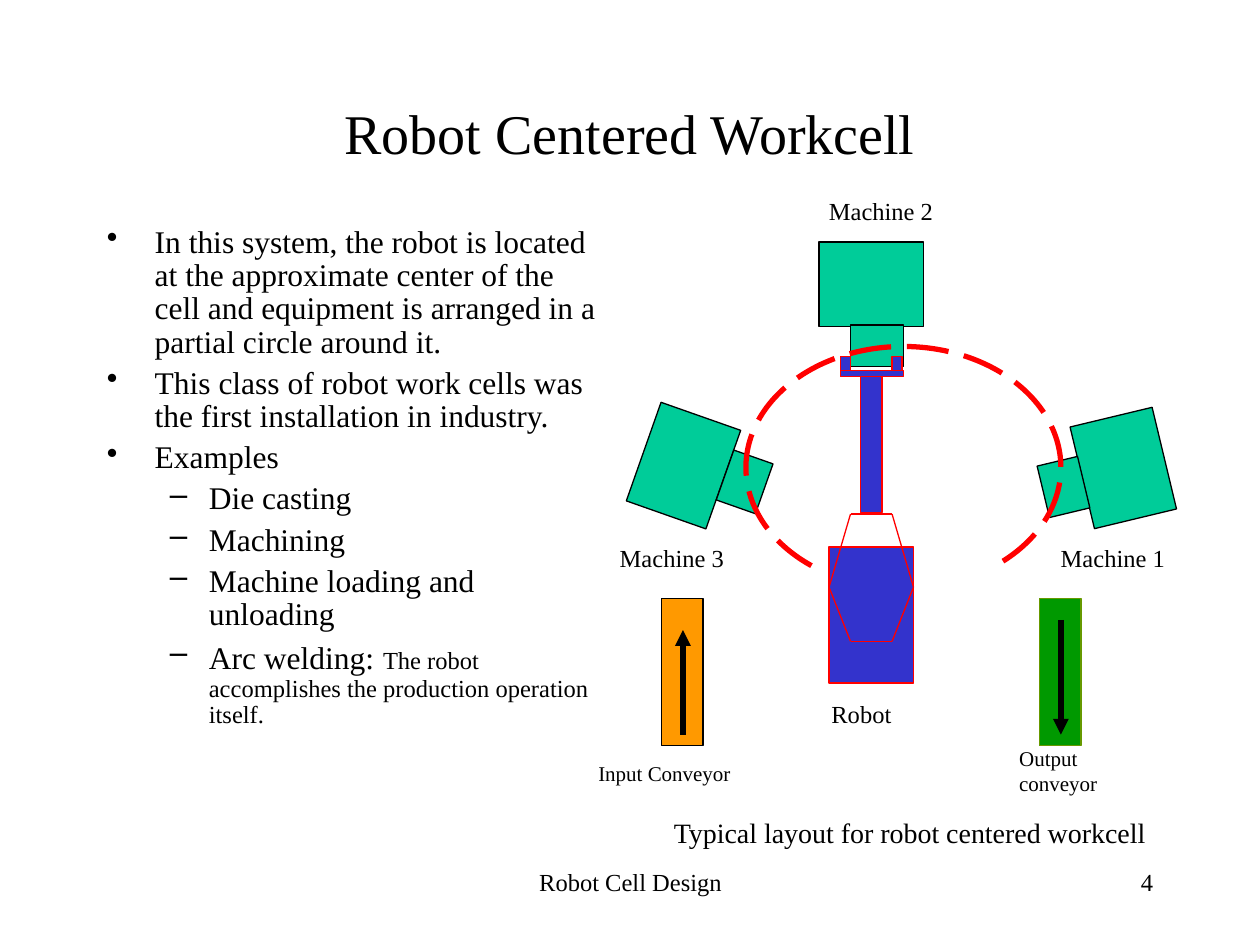
"""Build the robot centered workcell slide."""
from lxml import etree
from pptx import Presentation
from pptx.dml.color import RGBColor
from pptx.enum.dml import MSO_LINE
from pptx.enum.shapes import MSO_CONNECTOR, MSO_SHAPE
from pptx.enum.text import MSO_ANCHOR, PP_ALIGN
from pptx.oxml.ns import qn
from pptx.util import Inches, Pt

RECT, ARC = MSO_SHAPE.RECTANGLE, MSO_SHAPE.ARC
STRAIGHT, LONG_DASH = MSO_CONNECTOR.STRAIGHT, MSO_LINE.LONG_DASH
LEFT, CENTER, RIGHT = PP_ALIGN.LEFT, PP_ALIGN.CENTER, PP_ALIGN.RIGHT
TOP, MIDDLE = MSO_ANCHOR.TOP, MSO_ANCHOR.MIDDLE
FONT = "Times New Roman"
COLORS = {"black": "000000", "machine": "00CC99", "robot": "3333CC", "red": "FF0000",
          "input": "FF9900", "output": "009900", "olive": "669900"}

BULLETS = [
    (0, [("In this system, the robot is located at the approximate center of the cell "
          "and equipment is arranged in a partial circle around it.", 18)]),
    (0, [("This class of robot work cells was the first installation in industry.", 18)]),
    (0, [("Examples", 18)]),
    (1, [("Die casting", 18)]),
    (1, [("Machining", 18)]),
    (1, [("Machine loading and unloading", 18)]),
    (1, [("Arc welding:", 18), (" ", 20),
         ("The robot accomplishes the production operation itself.", 14)]),
]
LEVELS = [("•", 0.38, -0.38), ("–", 0.81, -0.31)]

TEXTS = [
    ("Robot Centered Workcell", (0.75, 0.67, 8.5, 0.75), 32, CENTER, MIDDLE, True),
    ("Robot Cell Design", (3.42, 6.83, 3.17, 0.5), 14, CENTER, TOP, True),
    ("4", (7.17, 6.83, 2.08, 0.5), 14, RIGHT, TOP, True),
    ("Machine 1", (8.32, 4.26, 1.03, 0.34), 14, LEFT, TOP, False),
    ("Machine 2", (6.48, 1.51, 1.03, 0.34), 14, LEFT, TOP, False),
    ("Machine 3", (4.82, 4.26, 1.03, 0.34), 14, LEFT, TOP, False),
    ("Robot", (6.5, 5.5, 0.75, 0.34), 14, LEFT, TOP, True),
    ("Typical layout for robot centered workcell", (5.25, 6.42, 4.08, 0.37), 16, LEFT, TOP, True),
    ("Input Conveyor", (4.65, 5.99, 1.35, 0.3), 12, LEFT, TOP, True),
    ("Output conveyor", (7.99, 5.87, 1.32, 0.3), 12, LEFT, TOP, False),
]

BODY_SIZE, FEEDER_SIZE = (0.83, 0.67), (0.42, 0.33)
MACHINES = [
    ((6.5, 1.92), (6.75, 2.58), 0),
    ((5.01, 3.36), (5.7, 3.66), 289.4),
    ((8.5, 3.38), (8.23, 3.7), 76.5),
]
REACH, REACH_ANGLES = (5.92, 2.75, 2.5, 1.92), (133.1, 46.9)
ROBOT_BASE = (6.58, 4.34, 0.67, 1.08)
SHOULDER = [(6.75, 4.08), (7.08, 4.08), (7.25, 4.66), (7.08, 5.09), (6.75, 5.09), (6.58, 4.66)]
ARM_AND_GRIPPER = [(6.83, 2.99, 0.17, 1.08), (6.67, 2.94, 0.5, 0.05),
                   (6.67, 2.83, 0.08, 0.11), (7.08, 2.83, 0.08, 0.11)]
CONVEYORS = [
    ((5.25, 4.75, 0.33, 1.17), "input", "black", (5.42, 5.83), (5.42, 5)),
    ((8.25, 4.75, 0.33, 1.17), "output", "olive", (8.42, 4.92), (8.42, 5.83)),
]


def rgb(name):
    return RGBColor.from_string(COLORS[name])


def inches(values):
    return [Inches(v) for v in values]


def add_run(p, text, size):
    r = p.add_run()
    r.text = text
    r.font.name, r.font.size = FONT, Pt(size)
    r.font.color.rgb = rgb("black")


def add_text(s, text, box, size, align, anchor, wrap):
    tf = s.shapes.add_textbox(*inches(box)).text_frame
    tf.word_wrap, tf.vertical_anchor = wrap, anchor
    tf.paragraphs[0].alignment = align
    add_run(tf.paragraphs[0], text, size)


def add_bullets(s):
    tf = s.shapes.add_textbox(*inches((0.75, 1.75, 4.17, 4.92))).text_frame
    tf.word_wrap = True
    for i, (level, runs) in enumerate(BULLETS):
        p = tf.add_paragraph() if i else tf.paragraphs[0]
        p.level, p.line_spacing = level, 0.88
        if i:
            p.space_before = Pt(4.5)
        char, margin, indent = LEVELS[level]
        pPr = p._p.get_or_add_pPr()
        pPr.set("marL", str(Inches(margin)))
        pPr.set("indent", str(Inches(indent)))
        etree.SubElement(pPr, qn("a:buChar")).set("char", char)
        for text, size in runs:
            add_run(p, text, size)


def add_rect(s, box, fill, line, rotation=0):
    sp = s.shapes.add_shape(RECT, *inches(box))
    sp.shadow.inherit = False
    sp.rotation = rotation
    sp.fill.solid()
    sp.fill.fore_color.rgb = rgb(fill)
    sp.line.color.rgb = rgb(line)
    sp.line.width = Pt(0.75)


def add_line(s, start, end, color, width, arrow=False):
    line = s.shapes.add_connector(STRAIGHT, *inches(start + end))
    line.line.color.rgb = rgb(color)
    line.line.width = Pt(width)
    if arrow:
        etree.SubElement(line.line._get_or_add_ln(), qn("a:tailEnd")).set("type", "triangle")
    etree.SubElement(line._element.spPr, qn("a:effectLst"))


def add_reach(s):
    sp = s.shapes.add_shape(ARC, *inches(REACH))
    sp.shadow.inherit = False
    for i, angle in enumerate(REACH_ANGLES):
        sp.adjustments[i] = angle * 0.6
    sp.fill.background()
    sp.line.color.rgb = rgb("red")
    sp.line.width = Pt(3)
    sp.line.dash_style = LONG_DASH


def add_robot(s):
    add_rect(s, ROBOT_BASE, "robot", "red")
    for start, end in zip(SHOULDER, SHOULDER[1:] + SHOULDER[:1]):
        add_line(s, start, end, "red", 0.75)
    for box in ARM_AND_GRIPPER:
        add_rect(s, box, "robot", "red")


def main():
    prs = Presentation()
    prs.slide_width, prs.slide_height = Inches(10), Inches(7.5)
    s = prs.slides.add_slide(prs.slide_layouts[6])
    for body, feeder, rotation in MACHINES:
        add_rect(s, body + BODY_SIZE, "machine", "black", rotation)
        add_rect(s, feeder + FEEDER_SIZE, "machine", "black", rotation)
    add_reach(s)
    add_robot(s)
    for box, fill, line, start, end in CONVEYORS:
        add_rect(s, box, fill, line)
        add_line(s, start, end, "black", 3, arrow=True)
    for item in TEXTS:
        add_text(s, *item)
    add_bullets(s)
    prs.save("out.pptx")


if __name__ == "__main__":
    main()
